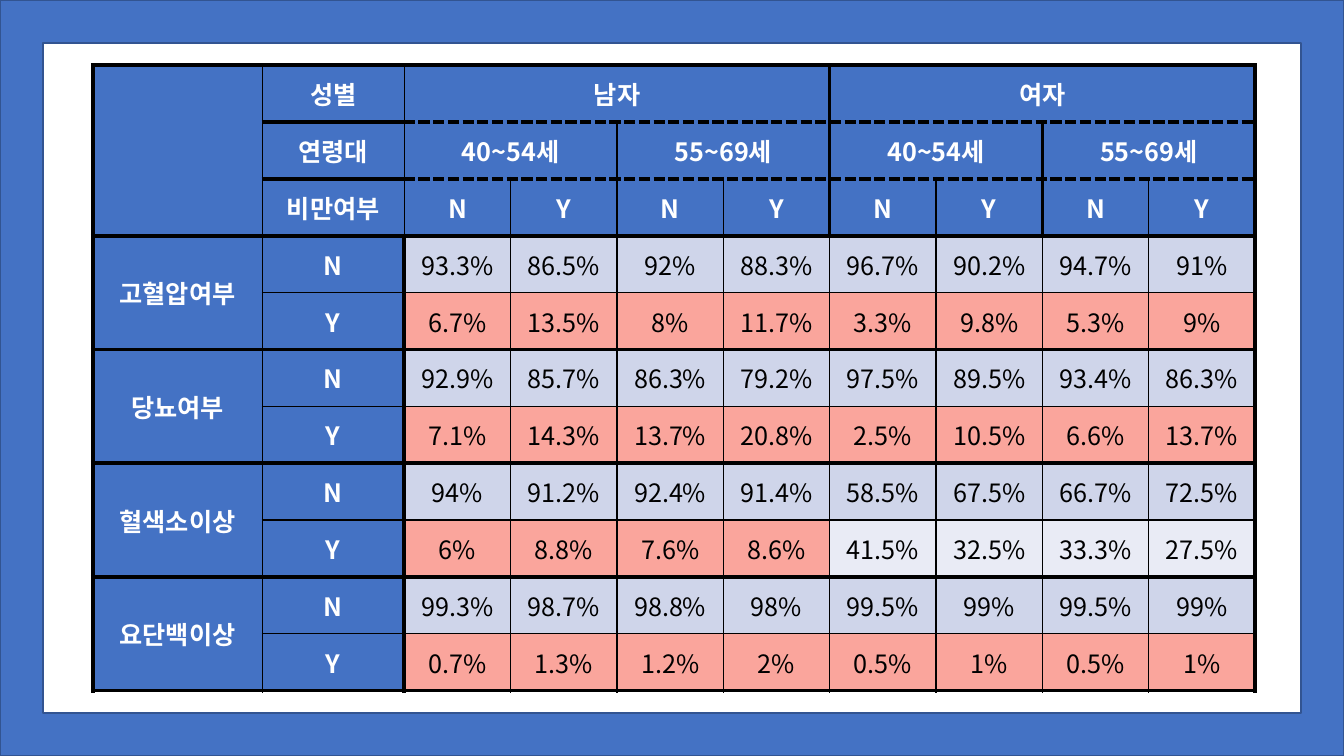
"""Build a slide with a table of health findings by sex, age group and obesity."""
from lxml.etree import SubElement
from pptx import Presentation
from pptx.dml.color import RGBColor
from pptx.enum.shapes import MSO_SHAPE
from pptx.enum.text import MSO_ANCHOR, PP_ALIGN
from pptx.oxml.ns import qn
from pptx.util import Cm, Pt

FONT = "Noto Sans CJK KR"
BLUE, FRAME_EDGE, WHITE, BLACK = "4472C4", "325491", "FFFFFF", "000000"
NORMAL, ABNORMAL, UNMARKED = "CFD5EA", "FAA59C", "E9EBF5"
UNMARKED_ABOVE = 25

SEXES = ["남자", "여자"]
AGES = ["40~54세", "55~69세"]
FLAGS = ["N", "Y"]
HEADERS = [("성별", SEXES), ("연령대", AGES * 2), ("비만여부", FLAGS * 4)]
FINDINGS = {
    "고혈압여부": [(93.3, 86.5, 92, 88.3, 96.7, 90.2, 94.7, 91),
              (6.7, 13.5, 8, 11.7, 3.3, 9.8, 5.3, 9)],
    "당뇨여부": [(92.9, 85.7, 86.3, 79.2, 97.5, 89.5, 93.4, 86.3),
             (7.1, 14.3, 13.7, 20.8, 2.5, 10.5, 6.6, 13.7)],
    "혈색소이상": [(94, 91.2, 92.4, 91.4, 58.5, 67.5, 66.7, 72.5),
              (6, 8.8, 7.6, 8.6, 41.5, 32.5, 33.3, 27.5)],
    "요단백이상": [(99.3, 98.7, 98.8, 98, 99.5, 99, 99.5, 99),
              (0.7, 1.3, 1.2, 2, 0.5, 1, 0.5, 1)],
}

GROUPS = 8
LABEL_COLS = 2
HEADER_ROWS = len(HEADERS)
ROWS = HEADER_ROWS + len(FLAGS) * len(FINDINGS)
COLS = LABEL_COLS + GROUPS
TABLE_LEFT, TABLE_TOP, TABLE_HEIGHT = Cm(2.34), Cm(1.64), Cm(15.77)
COL_WIDTHS = [Cm(4.27), Cm(3.58)] + [Cm(2.68)] * GROUPS


def paint(fill, color):
    fill.solid()
    fill.fore_color.rgb = RGBColor.from_string(color)


def write(cell, text, color=WHITE, bold=True, size=18):
    cell.vertical_anchor = MSO_ANCHOR.MIDDLE
    paragraph = cell.text_frame.paragraphs[0]
    paragraph.alignment = PP_ALIGN.CENTER
    run = paragraph.add_run()
    run.text = text
    run.font.name, run.font.size, run.font.bold = FONT, Pt(size), bold
    paint(run.font.fill, color)
    SubElement(run.font._element, qn("a:ea"), typeface=FONT)


def horizontal_rule(edge, col):
    if 0 < edge < HEADER_ROWS:
        return 3, "dash" if col >= LABEL_COLS else "solid"
    starts_finding = (edge - HEADER_ROWS) % len(FLAGS) == 0
    return (3 if edge == 0 or starts_finding else 1), "solid"


def vertical_rule(edge, row):
    in_header = row < HEADER_ROWS
    if edge in (0, COLS) or (edge == LABEL_COLS and not in_header):
        return 3, "solid"
    between_ages = edge > LABEL_COLS and edge % 2 == 0
    return (2.25 if in_header and between_ages else 1), "solid"


def draw_borders(cell, top, left, bottom, right):
    rules = {
        "L": vertical_rule(left, top),
        "R": vertical_rule(right, top),
        "T": horizontal_rule(top, left),
        "B": horizontal_rule(bottom, left),
    }
    properties = cell._tc.get_or_add_tcPr()
    for position, (side, (width, dash)) in enumerate(rules.items()):
        line = SubElement(properties, qn(f"a:ln{side}"), w=str(Pt(width)), cmpd="sng")
        solid = SubElement(line, qn("a:solidFill"))
        SubElement(solid, qn("a:srgbClr"), val=BLACK)
        SubElement(line, qn("a:prstDash"), val=dash)
        properties.insert(position, line)


def fill_block(table, row, col, text, height=1, width=1, fill=BLUE, **style):
    origin = table.cell(row, col)
    bottom, right = row + height, col + width
    if height * width > 1:
        origin.merge(table.cell(bottom - 1, right - 1))
    for r in range(row, bottom):
        for c in range(col, right):
            paint(table.cell(r, c).fill, fill)
            draw_borders(table.cell(r, c), row, col, bottom, right)
    if text:
        write(origin, text, **style)


def add_frame(slide, width, height):
    frame = slide.shapes.add_shape(MSO_SHAPE.FRAME, 0, 0, width, height)
    frame.adjustments[0] = 0.057
    frame.shadow.inherit = False
    paint(frame.fill, BLUE)
    paint(frame.line.fill, FRAME_EDGE)
    frame.line.width = Pt(1)


def add_findings(slide):
    table = slide.shapes.add_table(
        ROWS, COLS, TABLE_LEFT, TABLE_TOP, sum(COL_WIDTHS), TABLE_HEIGHT).table
    table.first_row = table.horz_banding = False
    for column, width in zip(table.columns, COL_WIDTHS):
        column.width = width
    for row in table.rows:
        row.height = TABLE_HEIGHT // ROWS

    fill_block(table, 0, 0, "", height=HEADER_ROWS)
    for row, (label, groups) in enumerate(HEADERS):
        fill_block(table, row, 1, label)
        width = GROUPS // len(groups)
        for index, group in enumerate(groups):
            fill_block(table, row, LABEL_COLS + index * width, group, width=width)

    for index, (finding, rates_by_flag) in enumerate(FINDINGS.items()):
        first_row = HEADER_ROWS + index * len(FLAGS)
        fill_block(table, first_row, 0, finding, height=len(FLAGS))
        for row, (flag, rates) in enumerate(zip(FLAGS, rates_by_flag), first_row):
            fill_block(table, row, 1, flag)
            for col, rate in enumerate(rates, LABEL_COLS):
                abnormal = UNMARKED if rate > UNMARKED_ABOVE else ABNORMAL
                fill_block(table, row, col, f"{rate}%", color=BLACK, bold=False,
                           fill=NORMAL if flag == "N" else abnormal)


def main():
    deck = Presentation()
    deck.slide_width, deck.slide_height = Cm(33.87), Cm(19.05)
    slide = deck.slides.add_slide(deck.slide_layouts[6])
    add_frame(slide, deck.slide_width, deck.slide_height)
    add_findings(slide)
    deck.save("out.pptx")


if __name__ == "__main__":
    main()
